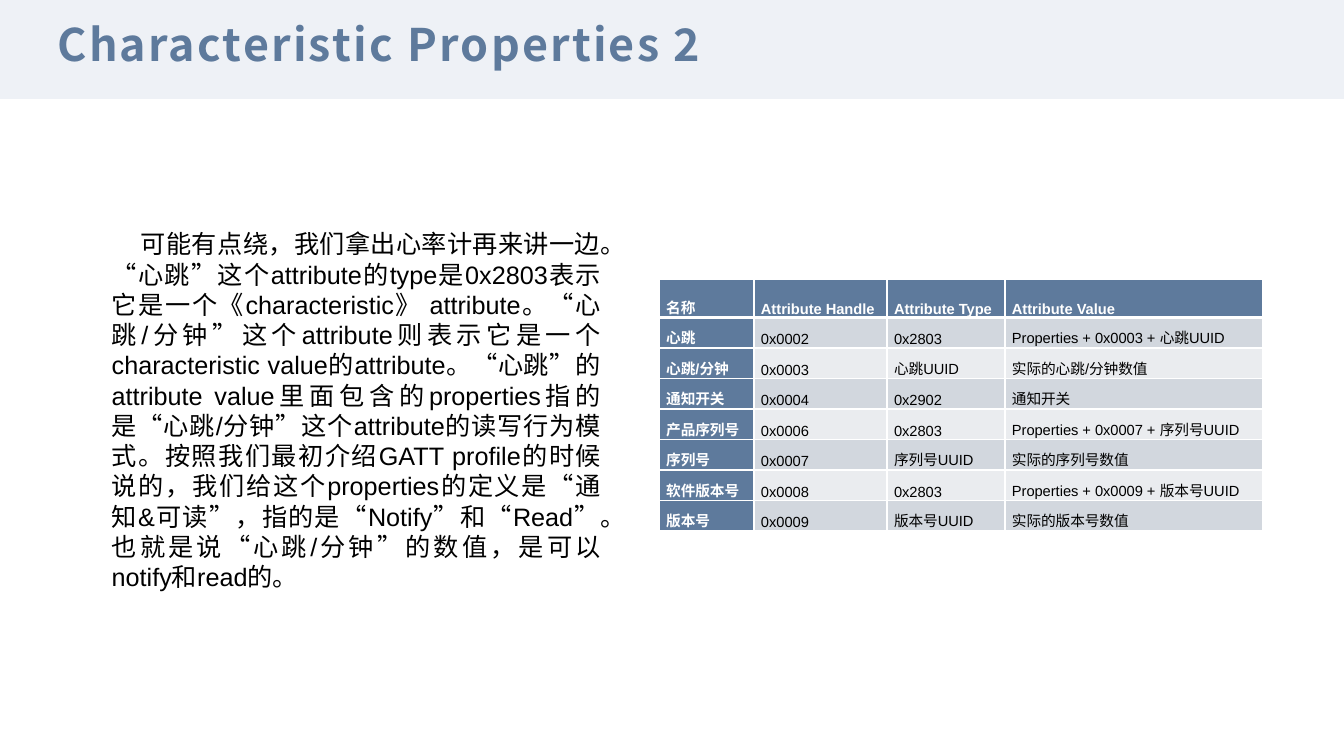
from dataclasses import dataclass
from typing import Any

from lxml.etree import SubElement
from pptx import Presentation
from pptx.dml.color import RGBColor
from pptx.enum.shapes import MSO_SHAPE
from pptx.enum.text import MSO_ANCHOR, MSO_AUTO_SIZE, PP_ALIGN
from pptx.oxml.ns import qn
from pptx.slide import Slide
from pptx.text.text import TextFrame
from pptx.util import Inches, Pt

WIDE, HIGH = Inches(13.33), Inches(7.5)
COLS, ROWS = 160, 90


@dataclass(frozen=True)
class Theme:
    blue: str = "5E7A9C"
    pale: str = "EEF1F6"
    dark: str = "D2D7DE"
    light: str = "EAECEF"
    white: str = "FFFFFF"
    black: str = "000000"
    head: str = "Noto Sans CJK SC"
    face: str = "Arial"
    title: float = 32
    body: float = 18
    cell: float = 10.5


@dataclass(frozen=True)
class Box:
    left: float
    top: float
    width: float
    height: float

    def place(self) -> tuple[int, int, int, int]:
        return col(self.left), row(self.top), col(self.width), row(self.height)


@dataclass(frozen=True)
class Style:
    size: float
    name: str
    color: str
    bold: bool = False


@dataclass(frozen=True)
class Label:
    box: Box
    text: str
    style: Style
    frame: dict[str, Any]
    para: dict[str, Any]
    track: int = 0
    indent: float = 0


THEME = Theme()
BAND = Box(0, -0.12, COLS, 11.88)
GRID = Box(78.48, 33.24, 71.88, 29.97)
WIDTHS = (11.28, 15.84, 14.04, 30.72)
FIRST, OTHER = 4.56, 3.63
PAD = Inches(0.07)
CELL = {"margin_left": PAD, "margin_right": PAD, "margin_top": 0,
        "margin_bottom": 0, "vertical_anchor": MSO_ANCHOR.BOTTOM}

LABELS = (
    Label(
        Box(6, 1.2, 148, 8.04), "Characteristic Properties 2",
        Style(THEME.title, THEME.head, THEME.blue, True),
        {"vertical_anchor": MSO_ANCHOR.MIDDLE, "margin_left": PAD, "margin_right": PAD,
         "margin_top": Inches(0.03), "margin_bottom": Inches(0.03)},
        {"alignment": PP_ALIGN.LEFT}, track=160,
    ),
    Label(
        Box(12.12, 26.64, 60.6, 44.88),
        "可能有点绕，我们拿出心率计再来讲一边。“心跳”这个attribute的type是0x2803表示它是一个"
        "《characteristic》 attribute。“心跳/分钟”这个attribute则表示它是一个characteristic "
        "value的attribute。“心跳”的attribute value里面包含的properties指的是“心跳/分钟”"
        "这个attribute的读写行为模式。按照我们最初介绍GATT profile的时候说的，我们给这个"
        "properties的定义是“通知&可读”，指的是“Notify”和“Read”。也就是说“心跳/分钟”的数值，"
        "是可以notify和read的。",
        Style(THEME.body, THEME.face, THEME.black),
        {"auto_size": MSO_AUTO_SIZE.SHAPE_TO_FIT_TEXT},
        {"alignment": PP_ALIGN.JUSTIFY, "space_after": Pt(12)}, indent=3.48,
    ),
)

DATA = (
    ("名称", "Attribute Handle", "Attribute Type", "Attribute Value"),
    ("心跳", "0x0002", "0x2803", "Properties + 0x0003 + 心跳UUID"),
    ("心跳/分钟", "0x0003", "心跳UUID", "实际的心跳/分钟数值"),
    ("通知开关", "0x0004", "0x2902", "通知开关"),
    ("产品序列号", "0x0006", "0x2803", "Properties + 0x0007 + 序列号UUID"),
    ("序列号", "0x0007", "序列号UUID", "实际的序列号数值"),
    ("软件版本号", "0x0008", "0x2803", "Properties + 0x0009 + 版本号UUID"),
    ("版本号", "0x0009", "版本号UUID", "实际的版本号数值"),
)


def col(count: float) -> int:
    return round(WIDE * count / COLS)


def row(count: float) -> int:
    return round(HIGH * count / ROWS)


def apply(item: Any, form: dict[str, Any]) -> None:
    for key, value in form.items():
        setattr(item, key, value)


def write(frame: TextFrame, text: str, style: Style, form: dict[str, Any]) -> None:
    para = frame.paragraphs[0]
    apply(para, form)
    run = para.add_run()
    run.text = text
    apply(run.font, {"size": Pt(style.size), "name": style.name, "bold": style.bold})
    run.font.color.rgb = RGBColor.from_string(style.color)


def band(slide: Slide) -> None:
    shape = slide.shapes.add_shape(MSO_SHAPE.RECTANGLE, *BAND.place())
    shape.shadow.inherit = False
    shape.fill.solid()
    shape.fill.fore_color.rgb = RGBColor.from_string(THEME.pale)
    shape.line.fill.background()


def label(slide: Slide, item: Label) -> None:
    frame = slide.shapes.add_textbox(*item.box.place()).text_frame
    apply(frame, {"word_wrap": True, **item.frame})
    write(frame, item.text, item.style, item.para)
    para = frame.paragraphs[0]
    if item.indent:
        para._p.get_or_add_pPr().set("indent", str(col(item.indent)))
    if item.track:
        para.runs[0]._r.get_or_add_rPr().set("spc", str(item.track))


def border(cell: Any, line: int) -> None:
    heavy = {(0, "lnB"), (1, "lnT")}
    props = cell._tc.get_or_add_tcPr()
    for side in ("lnL", "lnR", "lnT", "lnB"):
        width = Pt(3 if (line, side) in heavy else 1)
        edge = SubElement(props, qn(f"a:{side}"), w=str(width))
        fill = SubElement(edge, qn("a:solidFill"))
        SubElement(fill, qn("a:srgbClr"), val=THEME.white)


def table(slide: Slide) -> None:
    grid = slide.shapes.add_table(len(DATA), len(WIDTHS), *GRID.place()).table
    for part, width in zip(grid.columns, WIDTHS):
        part.width = col(width)
    for line, words in enumerate(DATA):
        grid.rows[line].height = row(OTHER if line else FIRST)
        for place, text in enumerate(words):
            cell = grid.cell(line, place)
            key = line == 0 or place == 0
            tint = THEME.blue if key else THEME.dark if line % 2 else THEME.light
            ink = THEME.white if key else THEME.black
            apply(cell, CELL)
            border(cell, line)
            cell.fill.solid()
            cell.fill.fore_color.rgb = RGBColor.from_string(tint)
            write(cell.text_frame, text, Style(THEME.cell, THEME.face, ink, key),
                  {"alignment": PP_ALIGN.JUSTIFY})


def main() -> None:
    deck = Presentation()
    apply(deck, {"slide_width": WIDE, "slide_height": HIGH})
    slide = deck.slides.add_slide(deck.slide_layouts[6])
    band(slide)
    table(slide)
    for item in LABELS:
        label(slide, item)
    deck.save("out.pptx")


if __name__ == "__main__":
    main()
